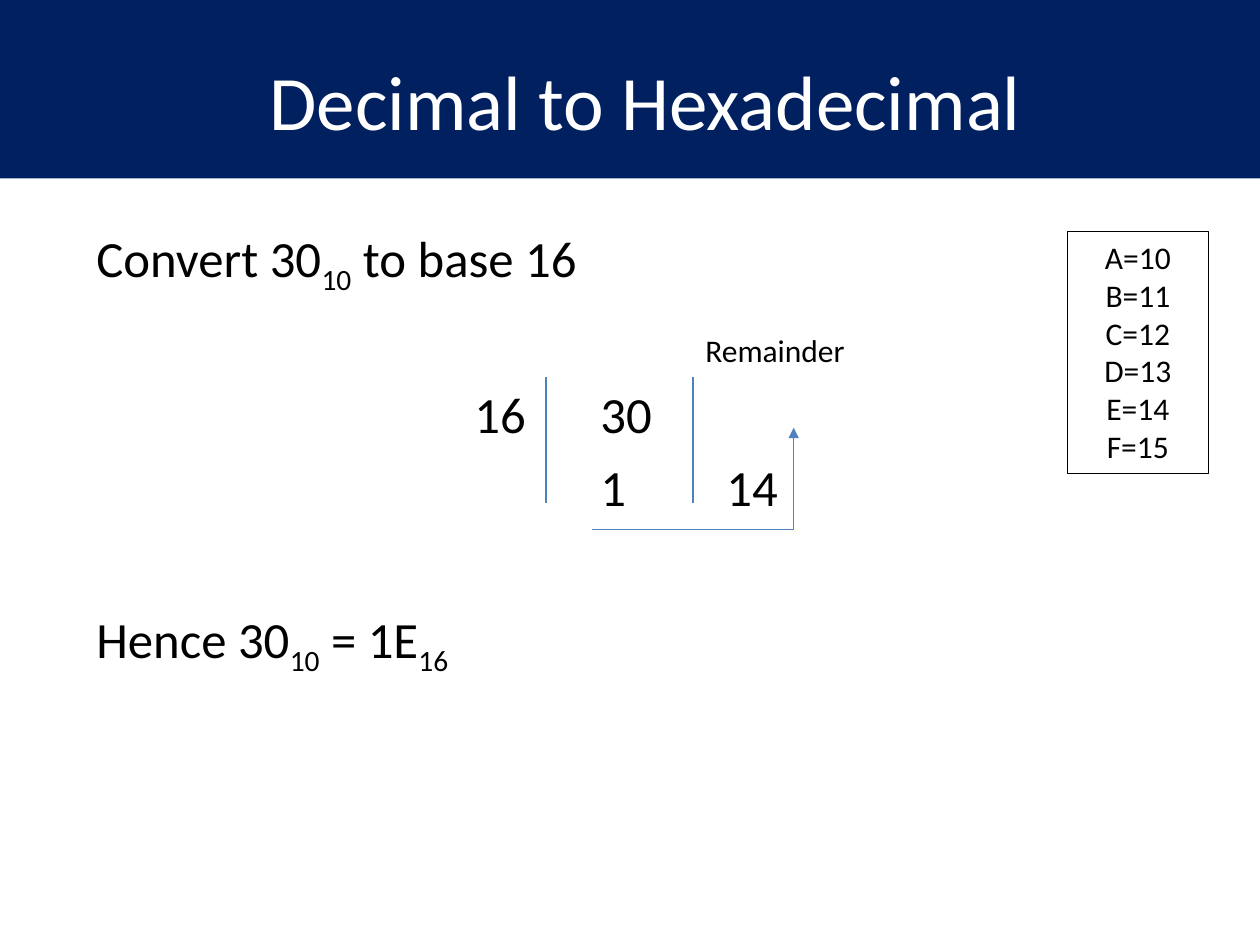
from pptx import Presentation
from pptx.dml.color import RGBColor
from pptx.enum.shapes import MSO_CONNECTOR, MSO_SHAPE
from pptx.enum.text import MSO_ANCHOR, PP_ALIGN
from pptx.oxml.ns import qn
from pptx.util import Pt
from lxml.etree import SubElement

COLORS = {"navy": "002060", "white": "FFFFFF", "black": "000000", "blue": "4F81BD"}
FONT = "Calibri"
SUBSCRIPT = "-25000"


def color(name):
    return RGBColor.from_string(COLORS[name])


def add_run(paragraph, text, size, ink="black", subscript=False):
    run = paragraph.add_run()
    run.text = text
    run.font.name = FONT
    run.font.size = Pt(size)
    run.font.color.rgb = color(ink)
    if subscript:
        run.font._element.set("baseline", SUBSCRIPT)


def add_text_frame(slide, left, top, width, height):
    frame = slide.shapes.add_textbox(Pt(left), Pt(top), Pt(width), Pt(height)).text_frame
    frame.word_wrap = True
    return frame


def add_rectangle(slide, left, top, width, height):
    rectangle = slide.shapes.add_shape(
        MSO_SHAPE.RECTANGLE, Pt(left), Pt(top), Pt(width), Pt(height))
    rectangle.shadow.inherit = False
    return rectangle


def add_line(slide, kind, x1, y1, x2, y2):
    line = slide.shapes.add_connector(kind, Pt(x1), Pt(y1), Pt(x2), Pt(y2))
    line.line.color.rgb = color("blue")
    line.line.width = Pt(0.79)
    SubElement(line._element.spPr, qn("a:effectLst"))
    return line


def add_header(slide, left, top, width, height):
    band = add_rectangle(slide, left, top, width, height)
    band.fill.solid()
    band.fill.fore_color.rgb = color("navy")
    band.line.fill.background()

    title = add_text_frame(slide, left + 48, top + 18, 642, 78)
    title.vertical_anchor = MSO_ANCHOR.MIDDLE
    title.paragraphs[0].alignment = PP_ALIGN.CENTER
    add_run(title.paragraphs[0], "Decimal to Hexadecimal", 44, "white")


def add_working(slide, left, top, width, height):
    # Each row: space before, then (text, is subscript) pieces
    rows = [
        (0, [("Convert 30", False), ("10", True), (" to base 16", False)]),
        (49.5, [("\t16\t30", False)]),
        (7, [("\t\t1\t14", False)]),
        (52, [("Hence 30", False), ("10", True), (" = 1E", False), ("16", True)]),
    ]
    frame = add_text_frame(slide, left, top, width, height)
    for index, (space, pieces) in enumerate(rows):
        row = frame.add_paragraph() if index else frame.paragraphs[0]
        row.space_before = Pt(space)
        # Columns for divisor, quotient and remainder
        tab_stops = SubElement(row._p.get_or_add_pPr(), qn("a:tabLst"))
        for column in (3, 4, 5):
            SubElement(tab_stops, qn("a:tab"), pos=str(Pt(72 * column)), algn="l")
        for text, subscript in pieces:
            add_run(row, text, 29, subscript=subscript)


def add_division_marks(slide, left, top, width, height):
    # Column rules
    for x in (left, left + 84):
        add_line(slide, MSO_CONNECTOR.STRAIGHT, x, top + 30, x, top + 102)

    heading = add_text_frame(slide, left + 84, top, 102, 29)
    add_run(heading.paragraphs[0], "Remainder", 18)

    # Reading order: right under the digits, then up; a quarter turn of an elbow
    run, rise = 115, 58
    center_x, center_y = left + width - run / 2, top + height - rise / 2
    arrow = add_line(slide, MSO_CONNECTOR.ELBOW,
                     center_x + rise / 2, center_y + run / 2,
                     center_x - rise / 2, center_y - run / 2)
    properties = arrow._element.spPr
    properties.find(qn("a:xfrm")).set("rot", "5400000")
    adjustments = properties.find(qn("a:prstGeom")).get_or_add_avLst()
    SubElement(adjustments, qn("a:gd"), name="adj1", fmla="val -300")
    SubElement(arrow.line._get_or_add_ln(), qn("a:tailEnd"), type="triangle")


def add_digit_key(slide, left, top, width, height):
    key = add_rectangle(slide, left, top, width, height)
    key.fill.background()
    key.line.color.rgb = color("black")
    key.line.width = Pt(0.75)
    frame = key.text_frame
    frame.vertical_anchor = MSO_ANCHOR.TOP
    for index, digit in enumerate("ABCDEF"):
        entry = frame.add_paragraph() if index else frame.paragraphs[0]
        entry.alignment = PP_ALIGN.CENTER
        add_run(entry, f"{digit}={10 + index}", 18)


def main():
    presentation = Presentation()
    presentation.slide_width, presentation.slide_height = Pt(720), Pt(540)
    slide = presentation.slides.add_slide(presentation.slide_layouts[6])
    add_header(slide, 0, 0, 720, 102)
    add_working(slide, 48, 126, 642, 396)
    add_division_marks(slide, 312, 185.5, 141.5, 117)
    add_digit_key(slide, 610, 132.5, 80.5, 138)
    presentation.save("out.pptx")


if __name__ == "__main__":
    main()
